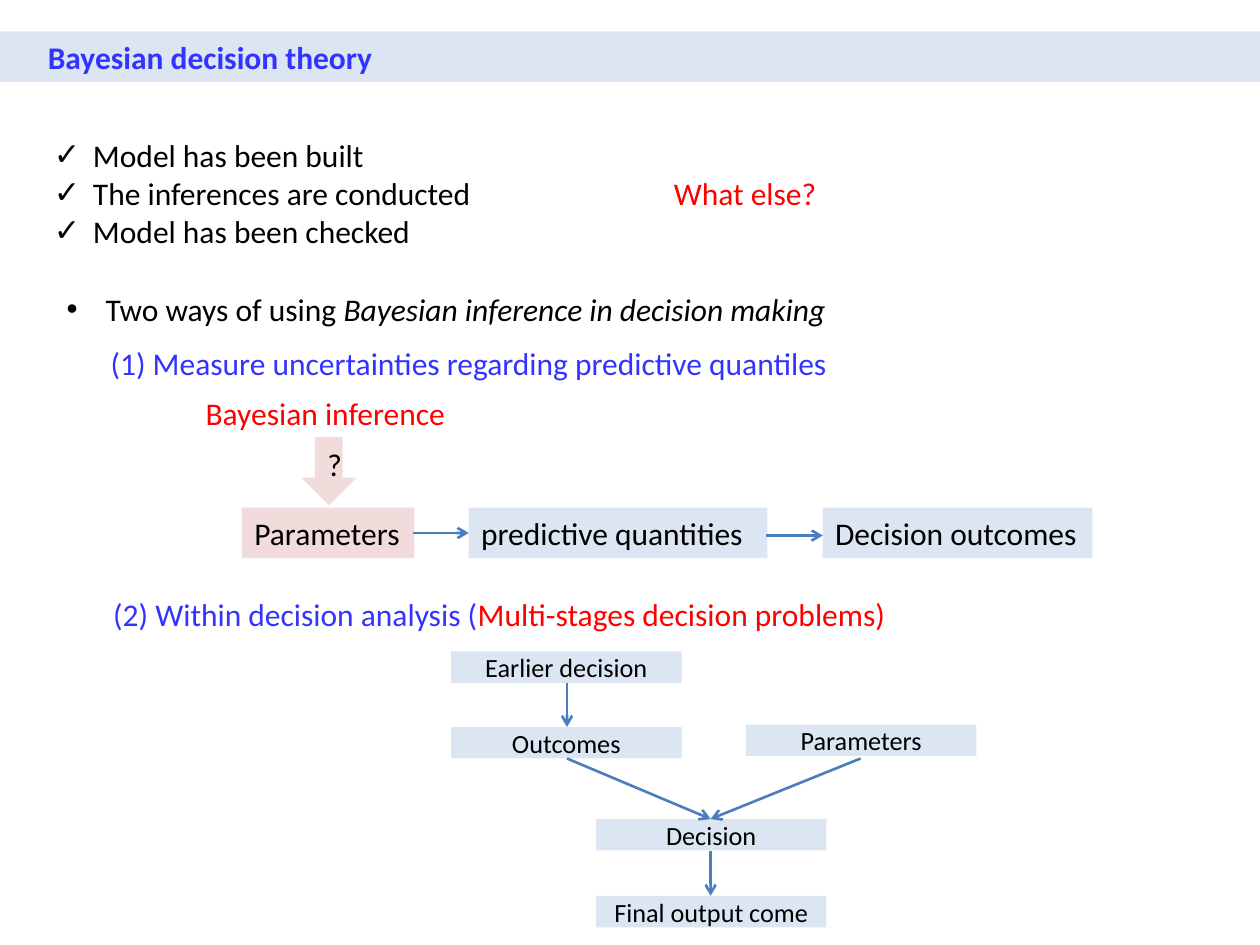
"""Build the Bayesian decision theory slide."""
from dataclasses import dataclass

from lxml import etree
from pptx import Presentation
from pptx.dml.color import RGBColor
from pptx.enum.shapes import MSO_CONNECTOR, MSO_SHAPE
from pptx.enum.text import MSO_ANCHOR, PP_ALIGN
from pptx.oxml.ns import qn
from pptx.util import Inches, Pt

RECT, DOWN_ARROW = MSO_SHAPE.RECTANGLE, MSO_SHAPE.DOWN_ARROW
STRAIGHT = MSO_CONNECTOR.STRAIGHT
TOP, MIDDLE = MSO_ANCHOR.TOP, MSO_ANCHOR.MIDDLE
LEFT, CENTER = PP_ALIGN.LEFT, PP_ALIGN.CENTER
BLACK, BLUE, RED = "000000", "3333FF", "FF0000"
PALE_BLUE, PALE_RED, LINE_BLUE = "DCE6F2", "F2DCDB", "4B7EBC"
ROW_H, NODE_W, NODE_H = 0.4, 1.83, 0.25


@dataclass
class Run:
    """A stretch of text in one style."""
    text: str
    color: str = BLACK
    size: float = 18
    bold: bool = False
    italic: bool = False


@dataclass
class Box:
    """A place on the slide, in inches."""
    x: float
    y: float
    w: float
    h: float = ROW_H


@dataclass
class Arrow:
    """A straight arrow between two points, in inches."""
    x1: float
    y1: float
    x2: float
    y2: float


def rgb(color: str) -> RGBColor:
    """Turn a hex string into a colour."""
    return RGBColor.from_string(color)


def write(shape, paragraphs: list[list[Run]], align=LEFT, anchor=TOP,
          bullet: str = "", inset: float = 0.1) -> None:
    """Fill a shape with paragraphs, bulleted if a bullet is given."""
    tf = shape.text_frame
    tf.word_wrap = True
    tf.vertical_anchor = anchor
    tf.margin_left = Inches(inset)
    tf.margin_right = Inches(0 if align == LEFT else inset)
    for i, runs in enumerate(paragraphs):
        p = tf.add_paragraph() if i else tf.paragraphs[0]
        p.alignment = align
        if bullet:
            pPr = p._p.get_or_add_pPr()
            pPr.set("marL", str(Inches(0.31)))
            pPr.set("indent", str(-Inches(0.31)))
            etree.SubElement(pPr, qn("a:buFont")).set("typeface", "Arial")
            etree.SubElement(pPr, qn("a:buChar")).set("char", bullet)
        for run in runs:
            r = p.add_run()
            r.text = run.text
            r.font.name = "Calibri"
            r.font.size = Pt(run.size)
            r.font.bold, r.font.italic = run.bold, run.italic
            r.font.color.rgb = rgb(run.color)


def add_text(s, box: Box, paragraphs: list[list[Run]], align=LEFT, bullet: str = "") -> None:
    """Add a plain text box."""
    tb = s.shapes.add_textbox(Inches(box.x), Inches(box.y), Inches(box.w), Inches(box.h))
    write(tb, paragraphs, align, bullet=bullet)


def add_block(s, box: Box, run: Run, fill: str = PALE_BLUE, kind=RECT,
              align=LEFT, anchor=TOP, inset: float = 0.1) -> None:
    """Add a filled shape holding one run of text."""
    sp = s.shapes.add_shape(kind, Inches(box.x), Inches(box.y), Inches(box.w), Inches(box.h))
    sp.shadow.inherit = False
    sp.fill.solid()
    sp.fill.fore_color.rgb = rgb(fill)
    sp.line.fill.background()
    write(sp, [[run]], align, anchor, inset=inset)


def add_arrow(s, arrow: Arrow) -> None:
    """Add a connector with an open arrowhead at its end."""
    cx = s.shapes.add_connector(STRAIGHT, Inches(arrow.x1), Inches(arrow.y1),
                                Inches(arrow.x2), Inches(arrow.y2))
    cx.line.color.rgb = rgb(LINE_BLUE)
    cx.line.width = Pt(1.5)
    etree.SubElement(cx.line._get_or_add_ln(), qn("a:tailEnd")).set("type", "arrow")
    etree.SubElement(cx._element.spPr, qn("a:effectLst"))


def main() -> None:
    """Draw the slide and save it."""
    prs = Presentation()
    prs.slide_width, prs.slide_height = Inches(10), Inches(7.5)
    s = prs.slides.add_slide(prs.slide_layouts[6])

    add_block(s, Box(0, 0.25, 10), Run("Bayesian decision theory", BLUE, bold=True), inset=0.38)
    done = ("Model has been built", "The inferences are conducted", "Model has been checked")
    add_text(s, Box(0.33, 1.03, 8.67, 1.01), [[Run(text)] for text in done], bullet="✓")
    add_text(s, Box(5.25, 1.33, 2), [[Run("What else?", RED)]])
    add_text(s, Box(0.43, 2.25, 8.83),
             [[Run("Two ways of using "),
               Run("Bayesian inference in decision making", italic=True)]], bullet="•")

    add_text(s, Box(0.78, 2.68, 7.47),
             [[Run("(1) Measure uncertainties regarding predictive quantiles", BLUE)]])
    add_text(s, Box(1.52, 3.08, 2.18), [[Run("Bayesian inference ", RED)]], CENTER)
    add_block(s, Box(2.39, 3.47, 0.44, 0.54), Run("?"), PALE_RED, DOWN_ARROW, CENTER, MIDDLE)
    chain = [
        (Box(1.92, 4.03, 1.37), "Parameters", PALE_RED),
        (Box(3.72, 4.03, 2.37), "predictive quantities", PALE_BLUE),
        (Box(6.53, 4.03, 2.14), "Decision outcomes", PALE_BLUE),
    ]
    for box, text, fill in chain:
        add_block(s, box, Run(text), fill)

    add_text(s, Box(0.8, 4.67, 8.61),
             [[Run("(2) Within decision analysis (", BLUE),
               Run("Multi-stages decision problems)", RED)]])
    nodes = [
        (3.58, 5.17, "Earlier decision"),
        (3.58, 5.77, "Outcomes"),
        (5.92, 5.75, "Parameters"),
        (4.73, 6.5, "Decision"),
        (4.73, 7.11, "Final output come"),
    ]
    for x, y, text in nodes:
        add_block(s, Box(x, y, NODE_W, NODE_H), Run(text, size=15), align=CENTER, anchor=MIDDLE)

    arrows = [
        Arrow(3.28, 4.23, 3.72, 4.23),
        Arrow(6.08, 4.25, 6.53, 4.25),
        Arrow(4.5, 5.42, 4.5, 5.77),
        Arrow(4.5, 6.02, 5.64, 6.5),
        Arrow(6.83, 6.02, 5.64, 6.5),
        Arrow(5.64, 6.75, 5.64, 7.11),
    ]
    for arrow in arrows:
        add_arrow(s, arrow)
    prs.save("out.pptx")


if __name__ == "__main__":
    main()
